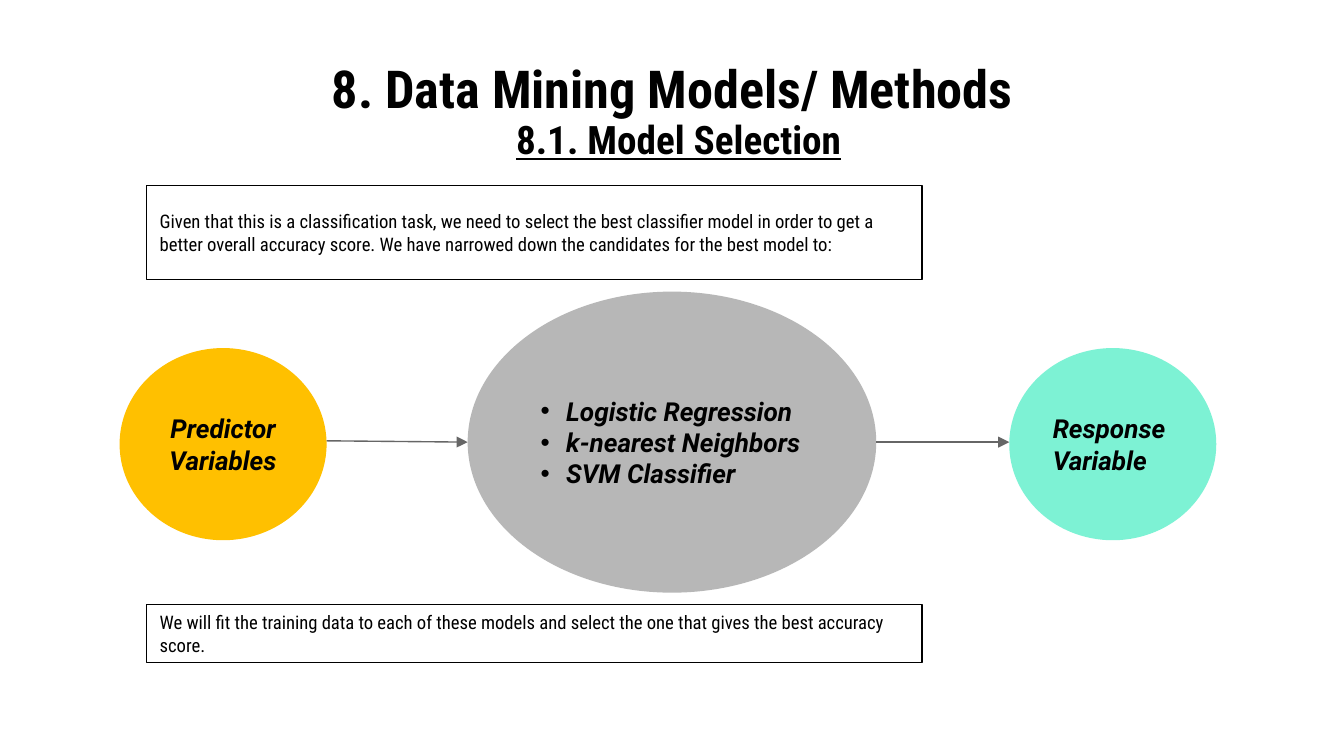
from dataclasses import dataclass

from lxml import etree
from pptx import Presentation
from pptx.dml.color import RGBColor
from pptx.enum.shapes import MSO_CONNECTOR, MSO_SHAPE
from pptx.enum.text import MSO_ANCHOR, PP_ALIGN
from pptx.oxml.ns import qn
from pptx.util import Inches, Pt

RECT, OVAL = MSO_SHAPE.RECTANGLE, MSO_SHAPE.OVAL
STRAIGHT = MSO_CONNECTOR.STRAIGHT
MIDDLE = MSO_ANCHOR.MIDDLE
LEFT, CENTER = PP_ALIGN.LEFT, PP_ALIGN.CENTER


@dataclass(frozen=True)
class Theme:
    ink: str = "000000"
    arrow: str = "666666"
    predictor: str = "FFC000"
    models: str = "B7B7B7"
    response: str = "7DF2D4"
    heading_font: str = "Roboto Condensed"
    node_font: str = "Roboto"
    bullet_font: str = "Arial"
    title: int = 28
    subtitle: int = 21
    node: int = 14
    note: int = 10
    line: float = 0.75


THEME = Theme()


def rgb(value):
    return RGBColor.from_string(value)


def add_bullet(p):
    pPr = p._p.get_or_add_pPr()
    pPr.set("marL", str(Inches(0.19)))
    pPr.set("indent", str(-Inches(0.19)))
    color = etree.SubElement(pPr, qn("a:buClr"))
    etree.SubElement(color, qn("a:srgbClr")).set("val", THEME.ink)
    etree.SubElement(pPr, qn("a:buFont")).set("typeface", THEME.bullet_font)
    etree.SubElement(pPr, qn("a:buChar")).set("char", "•")


def write(sp, lines, size, font, align=LEFT, bullets=False, **style):
    """Fill a shape with one paragraph per line; style sets bold, italic, underline."""
    tf = sp.text_frame
    tf.word_wrap = True
    tf.vertical_anchor = MIDDLE
    tf.margin_left = tf.margin_right = Inches(0.1)
    tf.margin_top = tf.margin_bottom = Inches(0.1)
    for i, line in enumerate(lines):
        p = tf.paragraphs[0] if i == 0 else tf.add_paragraph()
        p.alignment = align
        if bullets:
            add_bullet(p)
        r = p.add_run()
        r.text = line
        r.font.size = Pt(size)
        r.font.name = font
        r.font.color.rgb = rgb(THEME.ink)
        for name, value in style.items():
            setattr(r.font, name, value)


def add_heading(slide, box, text, size, underline=False):
    s = slide.shapes.add_textbox(*map(Inches, box))
    write(s, [text], size, THEME.heading_font, CENTER, bold=True, underline=underline)


def add_note(slide, box, text):
    s = slide.shapes.add_shape(RECT, *map(Inches, box))
    s.shadow.inherit = False
    s.fill.background()
    s.line.color.rgb = rgb(THEME.ink)
    s.line.width = Pt(THEME.line)
    write(s, [text], THEME.note, THEME.heading_font)


def add_node(slide, box, fill, lines, align=LEFT, bullets=False):
    s = slide.shapes.add_shape(OVAL, *map(Inches, box))
    s.shadow.inherit = False
    s.fill.solid()
    s.fill.fore_color.rgb = rgb(fill)
    s.line.fill.background()
    write(s, lines, THEME.node, THEME.node_font, align, bullets, bold=True, italic=True)


def add_arrow(slide, x1, y1, x2, y2):
    c = slide.shapes.add_connector(STRAIGHT, *map(Inches, (x1, y1, x2, y2)))
    c.line.color.rgb = rgb(THEME.arrow)
    c.line.width = Pt(THEME.line)
    etree.SubElement(c.line._get_or_add_ln(), qn("a:tailEnd")).set("type", "triangle")
    etree.SubElement(c._element.spPr, qn("a:effectLst"))


def add_model_flow(slide, box):
    """Predictor circle, model ellipse and response circle, linked by arrows."""
    x, y, w, h = box
    side_w, side_h, side_y = 1.54, 1.43, y + 0.42
    models_x, models_w = x + 2.59, 3.04
    response_x = x + w - side_w
    mid = y + h / 2

    add_node(slide, (models_x, y, models_w, h), THEME.models,
             ["Logistic Regression", "k-nearest Neighbors", "SVM Classifier"],
             bullets=True)
    add_node(slide, (x, side_y, side_w, side_h), THEME.predictor,
             ["Predictor Variables"], CENTER)
    add_node(slide, (response_x, side_y, side_w, side_h), THEME.response,
             ["Response Variable"])
    add_arrow(slide, x + side_w, mid - 0.01, models_x, mid)
    add_arrow(slide, models_x + models_w, mid, response_x, mid)


def main():
    prs = Presentation()
    prs.slide_width = Inches(10)
    prs.slide_height = prs.slide_width * 9 // 16
    slide = prs.slides.add_slide(prs.slide_layouts[6])

    add_heading(slide, (0.5, 0.45, 9, 0.41), "8. Data Mining Models/ Methods", THEME.title)
    add_model_flow(slide, (0.89, 2.17, 8.16, 2.24))
    add_heading(slide, (0.55, 0.83, 9, 0.41), "8.1. Model Selection",
                THEME.subtitle, underline=True)
    add_note(slide, (1.09, 1.38, 5.77, 0.7),
             "Given that this is a classification task, we need to select the best "
             "classifier model in order to get a better overall accuracy score. "
             "We have narrowed down the candidates for the best model to:")
    add_note(slide, (1.09, 4.5, 5.77, 0.43),
             "We will fit the training data to each of these models and select "
             "the one that gives the best accuracy score.")
    prs.save("out.pptx")


if __name__ == "__main__":
    main()
